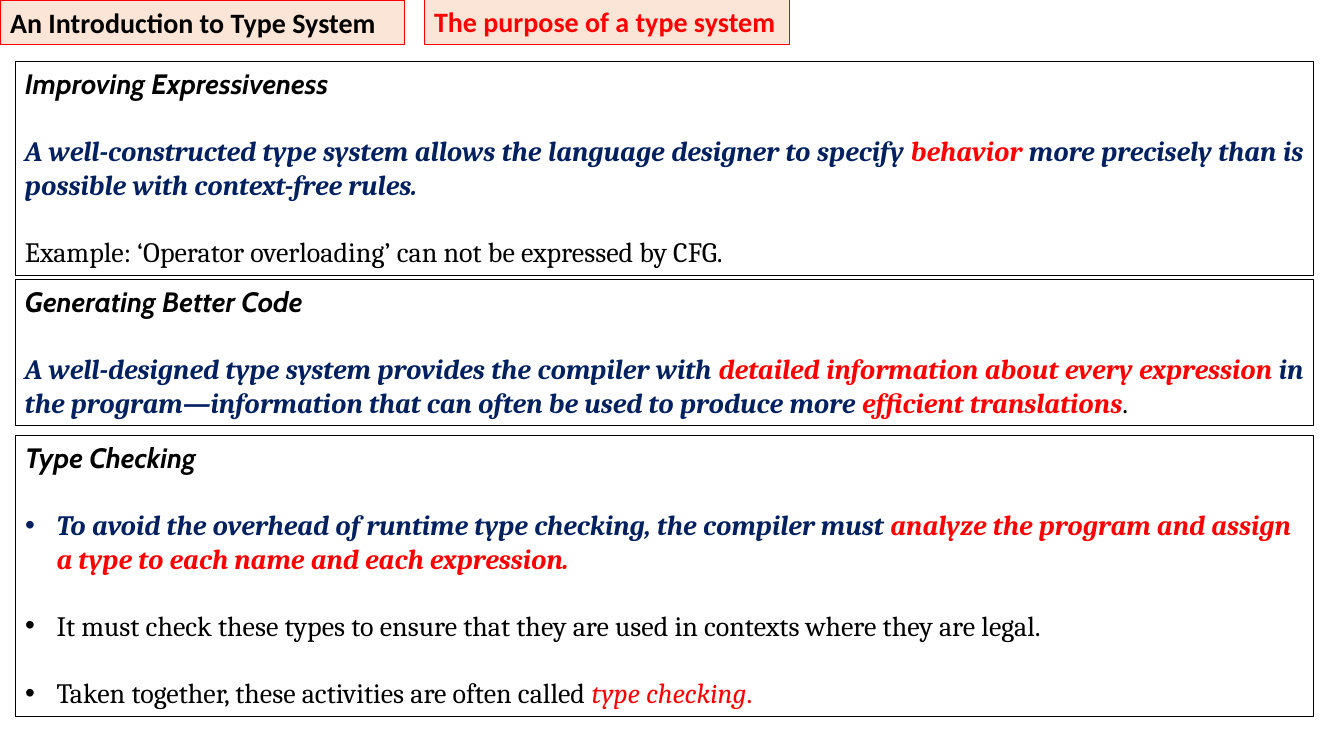
from lxml import etree
from pptx import Presentation
from pptx.dml.color import RGBColor
from pptx.enum.text import MSO_ANCHOR, MSO_AUTO_SIZE, PP_ALIGN
from pptx.oxml.ns import qn
from pptx.util import Cm, Pt

LEFT, JUSTIFY = PP_ALIGN.LEFT, PP_ALIGN.JUSTIFY
TOP = MSO_ANCHOR.TOP
NO_AUTOFIT = MSO_AUTO_SIZE.NONE

COLORS = {
    "black": "000000",
    "red": "FF0000",
    "navy": "002060",
    "peach": "FBE5D6",
}
STYLES = {
    "banner": ("Calibri", "black", True, False),
    "red banner": ("Calibri", "red", True, False),
    "heading": ("Cabin", "black", True, True),
    "claim": ("Cambria", "navy", True, True),
    "key": ("Cambria", "red", True, True),
    "plain": ("Cambria", "black", False, False),
    "term": ("Cambria", "red", False, True),
    "term end": ("Cambria", "red", False, False),
}


def frame_box(box, left, top, width, height, line_color):
    box.left, box.top, box.width, box.height = Cm(left), Cm(top), Cm(width), Cm(height)
    box.line.color.rgb = RGBColor.from_string(COLORS[line_color])
    box.line.width = Pt(0.75)
    box.text_frame.word_wrap = True
    box.text_frame.auto_size = NO_AUTOFIT
    box.text_frame.vertical_anchor = TOP


def write_paragraph(paragraph, runs, align, gap=0, bulleted=False):
    properties = paragraph._p.get_or_add_pPr()
    indent = Cm(0.79) if bulleted else 0
    properties.set("marL", str(indent))
    properties.set("indent", str(-indent))
    if bulleted:
        etree.SubElement(properties, qn("a:buFont"), typeface="Arial")
        etree.SubElement(properties, qn("a:buChar"), char="•")
    else:
        etree.SubElement(properties, qn("a:buNone"))
    paragraph.alignment = align
    paragraph.space_before = Pt(gap)
    for text, style in runs:
        font_name, color, bold, italic = STYLES[style]
        run = paragraph.add_run()
        run.text = text
        run.font.name = font_name
        run.font.size = Pt(20)
        run.font.bold = bold
        run.font.italic = italic
        run.font.color.rgb = RGBColor.from_string(COLORS[color])


prs = Presentation()
prs.slide_width, prs.slide_height = Cm(33.87), Cm(19.05)
slide = prs.slides.add_slide(prs.slide_layouts[1])
topic = slide.shapes.title
type_checking = slide.placeholders[1]
purpose = slide.shapes.add_textbox(0, 0, 0, 0)
expressiveness = slide.shapes.add_textbox(0, 0, 0, 0)
better_code = slide.shapes.add_textbox(0, 0, 0, 0)

banners = [
    (topic, 0, 10.19, "black", "An Introduction to Type System", "banner"),
    (purpose, 10.69, 9.2, "red", "The purpose of a type system", "red banner"),
]
for banner, left, width, color, text, style in banners:
    frame_box(banner, left, 0, width, 1.12, "red")
    banner.fill.solid()
    banner.fill.fore_color.rgb = RGBColor.from_string(COLORS["peach"])
    write_paragraph(banner.text_frame.paragraphs[0], [(text, style)], LEFT)

sections = [
    (expressiveness, 1.55, 5.4, JUSTIFY, False, "Improving Expressiveness", [
        [("A well-constructed type system allows the language designer to specify ", "claim"),
         ("behavior", "key"),
         (" more precisely than is possible with context-free rules.", "claim")],
        [("Example: ‘Operator overloading’ can not be expressed by CFG.", "plain")],
    ]),
    (better_code, 7.04, 3.68, JUSTIFY, False, "Generating Better Code", [
        [("A well-designed type system provides the compiler with ", "claim"),
         ("detailed information about every expression ", "key"),
         ("in the program—information that can often be used to produce more ", "claim"),
         ("efficient translations", "key"),
         (".", "plain")],
    ]),
    (type_checking, 10.97, 7.09, LEFT, True, "Type Checking", [
        [("To avoid the overhead of runtime type checking, the compiler must ", "claim"),
         ("analyze the program and assign a type to each name and each expression.", "key")],
        [("It must check these types to ensure that they are used in contexts "
          "where they are legal.", "plain")],
        [("Taken together, these activities are often called ", "plain"),
         ("type checking", "term"),
         (".", "term end")],
    ]),
]
for section, top, height, align, bulleted, heading, statements in sections:
    frame_box(section, 0.38, top, 32.72, height, "black")
    frame = section.text_frame
    write_paragraph(frame.paragraphs[0], [(heading, "heading")], align)
    for statement in statements:
        write_paragraph(frame.add_paragraph(), statement, align, 24, bulleted)

prs.save("out.pptx")
